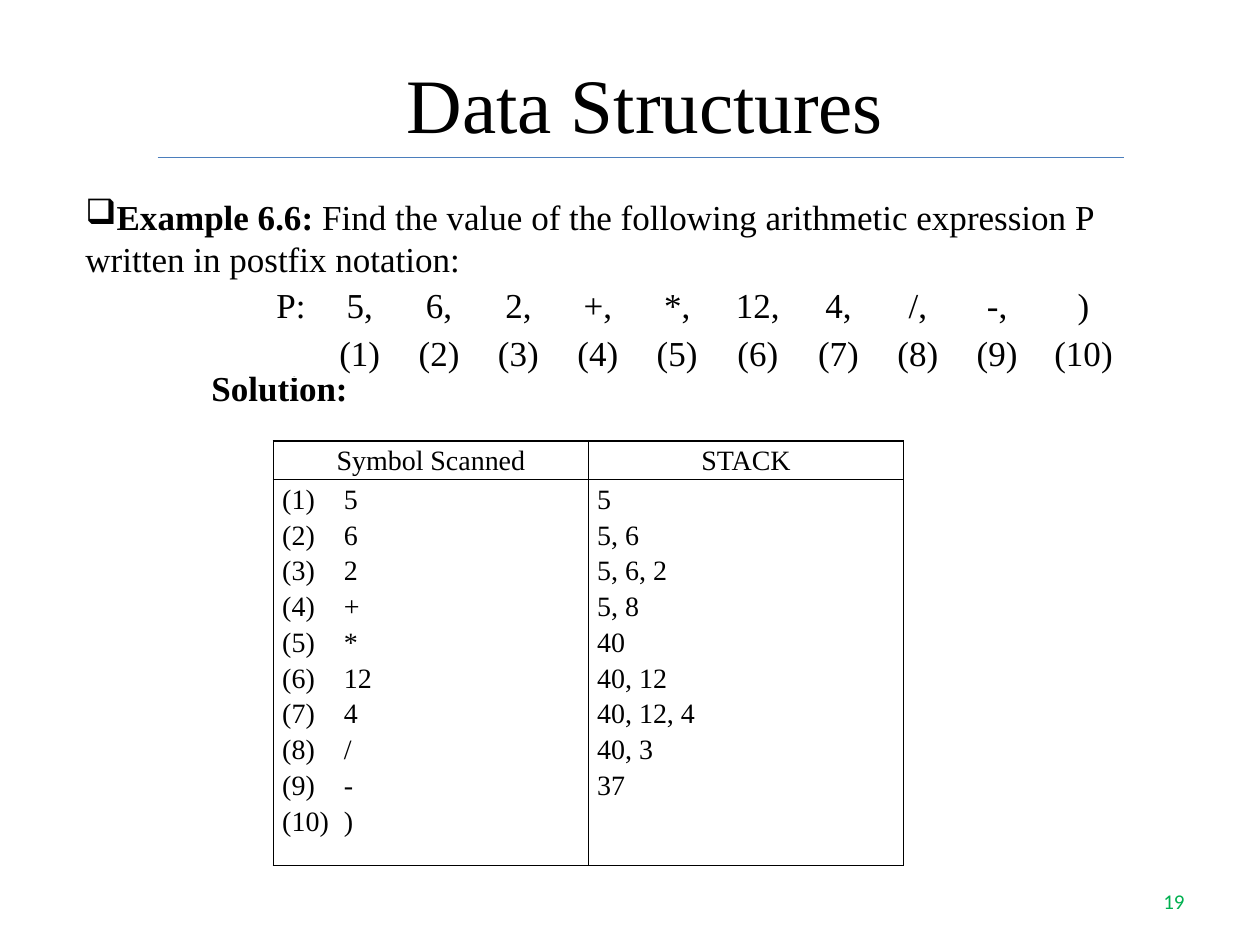
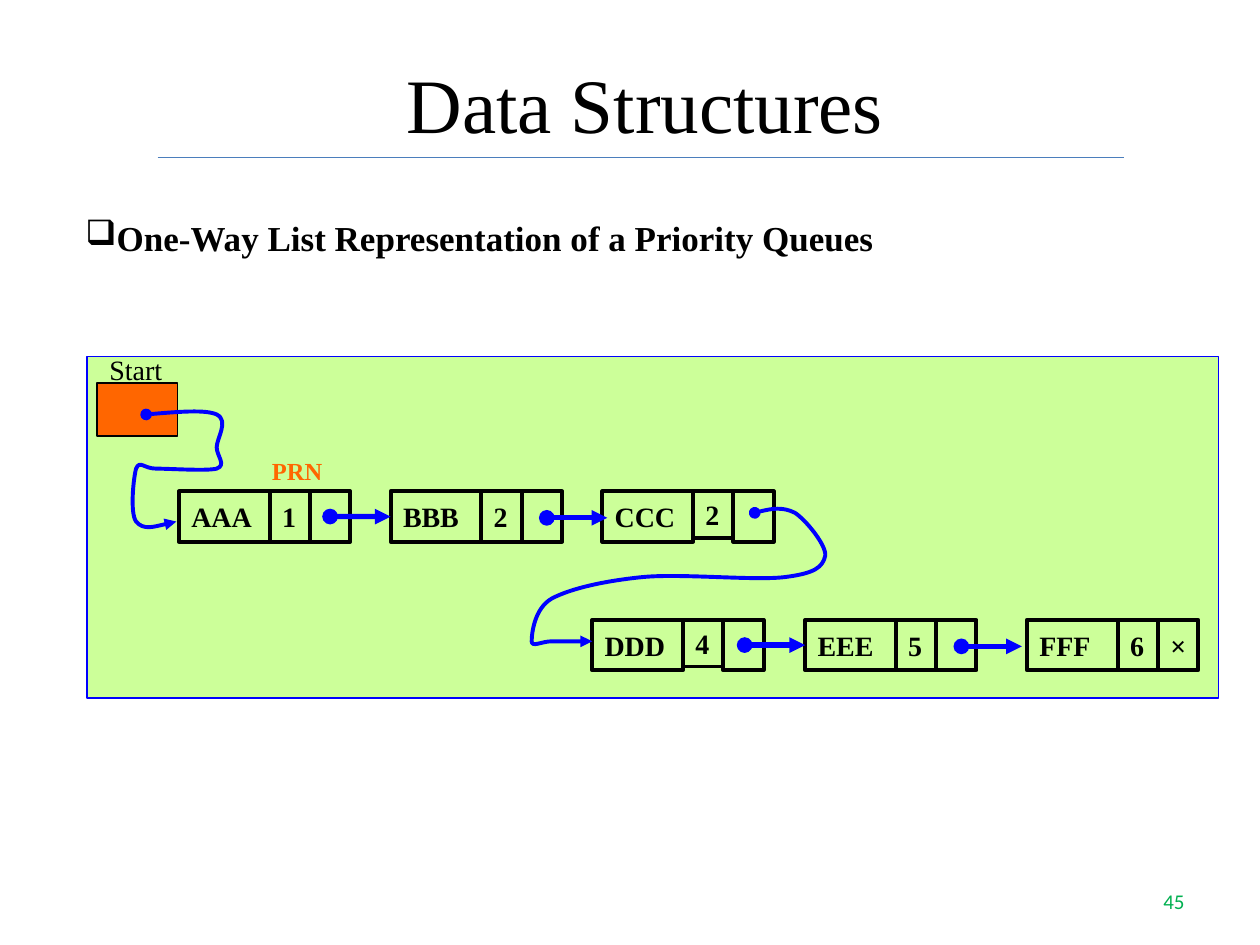
from itertools import product
from pptx import Presentation
from pptx.dml.color import RGBColor
from pptx.enum.shapes import MSO_CONNECTOR, MSO_SHAPE
from pptx.enum.text import MSO_ANCHOR as ANCHOR, PP_ALIGN as ALIGN
from pptx.oxml.ns import qn
from pptx.oxml.xmlchemy import OxmlElement
from pptx.util import Inches, Pt

BLACK = RGBColor(0x00, 0x00, 0x00)
RULE_BLUE = RGBColor(0x4B, 0x7E, 0xBC)
NUMBER_GREEN = RGBColor(0x00, 0xB0, 0x50)
PANEL_GREEN = RGBColor(0xCC, 0xFF, 0x99)
LINK_BLUE = RGBColor(0x00, 0x00, 0xFF)
ORANGE = RGBColor(0xFF, 0x66, 0x00)
SERIF = "Times New Roman"
TITLE_ONLY = 5

EXPRESSION = ["5,", "6,", "2,", "+,", "*,", "12,", "4,", "/,", "-,", ")"]
EXPRESSION_WIDTHS = [0.46, *[0.63] * 5, 0.65, *[0.63] * 3, 0.74]
STACK_STATES = ["5", "5, 6", "5, 6, 2", "5, 8", "40", "40, 12",
                "40, 12, 4", "40, 3", "37"]

# Queue drawing, in inches from the corner of the panel:
# name, priority, last cell, left, top, height of the priority cell
NODES = [
    ("AAA", "1", "", 0.73, 1.07, 0.4), ("BBB", "2", "", 2.41, 1.07, 0.4),
    ("CCC", "2", "", 4.09, 1.07, 0.37), ("DDD", "4", "", 4.01, 2.09, 0.37),
    ("EEE", "5", "", 5.7, 2.09, 0.4), ("FFF", "6", "×", 7.46, 2.09, 0.4),
]
# left, top, node whose side the arrow joins
ARROWS = [(1.93, 1.27, "BBB"), (3.65, 1.28, None),
          (5.22, 2.29, "EEE"), (6.94, 2.3, None)]
# start point, then two control points and an end point for each curve
START_LINK = [
    (0.47, 0.46),
    (0.71, 0.44), (0.94, 0.42), (1.03, 0.46),
    (1.13, 0.51), (1.03, 0.65), (1.03, 0.72),
    (1.03, 0.79), (1.11, 0.86), (1.03, 0.89),
    (0.95, 0.91), (0.66, 0.89), (0.55, 0.89),
    (0.45, 0.89), (0.42, 0.82), (0.39, 0.89),
    (0.37, 0.96), (0.34, 1.24), (0.39, 1.31),
    (0.45, 1.38), (0.58, 1.34), (0.71, 1.31),
]
ROW_LINK = [
    (5.3, 1.24),
    (5.41, 1.21), (5.52, 1.19), (5.62, 1.24),
    (5.71, 1.3), (5.87, 1.5), (5.86, 1.58),
    (5.84, 1.67), (5.78, 1.72), (5.54, 1.75),
    (5.3, 1.78), (4.72, 1.72), (4.41, 1.75),
    (4.11, 1.78), (3.84, 1.84), (3.69, 1.92),
    (3.55, 2.0), (3.53, 2.2), (3.53, 2.26),
    (3.53, 2.31), (3.61, 2.26), (3.69, 2.26),
    (3.77, 2.26), (3.89, 2.26), (4.01, 2.26),
]


def add_element(parent, tag, **attributes):
    element = OxmlElement(tag)
    for name, value in attributes.items():
        element.set(name, value)
    parent.append(element)
    return element


def style_run(run, size, color=BLACK, bold=False, font_name=SERIF):
    font = run.font
    font.name, font.size, font.bold = font_name, Pt(size), bold
    font.color.rgb = color


def write(paragraph, text, size, align=ALIGN.LEFT, **style):
    paragraph.text = text
    paragraph.alignment = align
    for run in paragraph.runs:
        style_run(run, size, **style)


def add_text(slide, box, text, size, anchor=ANCHOR.TOP, **style):
    text_frame = slide.shapes.add_textbox(*map(Inches, box)).text_frame
    text_frame.word_wrap = True
    text_frame.vertical_anchor = anchor
    write(text_frame.paragraphs[0], text, size, **style)
    return text_frame.paragraphs[0]


def add_heading(slide, box, text):
    paragraph = add_text(slide, box, text, 20, bold=True)
    properties = paragraph._p.get_or_add_pPr()
    properties.set("marL", "0")
    properties.set("indent", "0")
    add_element(properties, "a:buChar", char="❑")
    return paragraph


def add_line(slide, start, end, color, width):
    line = slide.shapes.add_connector(
        MSO_CONNECTOR.STRAIGHT, *map(Inches, (*start, *end)))
    line.line.color.rgb = color
    line.line.width = Pt(width)
    add_element(line._element.spPr, "a:effectLst")
    return line


def add_pointer_ends(shape):
    outline = shape.line._get_or_add_ln()
    add_element(outline, "a:headEnd", type="oval")
    add_element(outline, "a:tailEnd", type="triangle")


def add_rectangle(slide, box, line_color=BLACK, line_width=0.75, fill=None):
    shape = slide.shapes.add_shape(MSO_SHAPE.RECTANGLE, *map(Inches, box))
    shape.shadow.inherit = False
    if fill is None:
        shape.fill.background()
    else:
        shape.fill.solid()
        shape.fill.fore_color.rgb = fill
    shape.line.color.rgb = line_color
    shape.line.width = Pt(line_width)
    return shape


def add_course_slide(presentation, number):
    """Add a slide with the shared title, rule and page number."""
    slide = presentation.slides.add_slide(
        presentation.slide_layouts[TITLE_ONLY])
    title = slide.shapes.title
    title.left, title.top, title.width, title.height = map(
        Inches, (1.33, 0.38, 7.58, 0.87))
    title.text_frame.vertical_anchor = ANCHOR.MIDDLE
    write(title.text_frame.paragraphs[0], "Data Structures", 44, ALIGN.CENTER)
    add_line(slide, (1.25, 1.25), (8.92, 1.25), RULE_BLUE, 0.75)
    add_text(slide, (7.17, 6.95, 2.33, 0.4), number, 12, ANCHOR.MIDDLE,
             align=ALIGN.RIGHT, color=NUMBER_GREEN, font_name="Calibri")
    return slide


def add_plain_table(slide, left, top, widths, heights):
    """Add an unfilled table without header or banding styles."""
    table = slide.shapes.add_table(
        len(heights), len(widths), *map(
            Inches, (left, top, sum(widths), sum(heights)))).table
    table.first_row = table.horz_banding = False
    for column, width in zip(table.columns, widths):
        column.width = Inches(width)
    for row, height in zip(table.rows, heights):
        row.height = Inches(height)
    for cell in table.iter_cells():
        cell.margin_left = cell.margin_right = Inches(0.07)
        cell.margin_top = cell.margin_bottom = 0
        cell.fill.background()
    return table


def write_cell(cell, lines, size, align=ALIGN.LEFT):
    cell.text = "\n".join(lines)
    for paragraph, line in zip(cell.text_frame.paragraphs, lines):
        write(paragraph, line, size, align)
        paragraph.line_spacing = 1.15


def number_lines(cell):
    for paragraph in cell.text_frame.paragraphs:
        properties = paragraph._p.get_or_add_pPr()
        properties.set("marL", str(Inches(0.49)))
        properties.set("indent", str(-Inches(0.49)))
        add_element(properties, "a:buFont", typeface=SERIF)
        add_element(properties, "a:buAutoNum", type="arabicParenBoth")


def add_cell_borders(cell):
    properties = cell._tc.get_or_add_tcPr()
    for index, side in enumerate(("a:lnL", "a:lnR", "a:lnT", "a:lnB")):
        border = OxmlElement(side)
        border.set("w", str(Pt(1)))
        fill = add_element(border, "a:solidFill")
        add_element(fill, "a:srgbClr", val=str(BLACK))
        properties.insert(index, border)


def add_expression_table(slide, left, top):
    table = add_plain_table(slide, left, top, EXPRESSION_WIDTHS, [0.35, 0.35])
    positions = [f"({i})" for i in range(1, len(EXPRESSION) + 1)]
    rows = [["P:", *EXPRESSION], ["", *positions]]
    for row, column in product(range(2), range(len(EXPRESSION_WIDTHS))):
        write_cell(table.cell(row, column), [rows[row][column]], 20,
                   ALIGN.CENTER)


def add_stack_table(slide, left, top):
    table = add_plain_table(slide, left, top, [2.5, 2.5], [0.28, 2.84])
    symbols = [symbol.rstrip(",") for symbol in EXPRESSION]
    columns = [("Symbol Scanned", symbols), ("STACK", STACK_STATES)]
    for index, (heading, lines) in enumerate(columns):
        write_cell(table.cell(0, index), [heading], 16, ALIGN.CENTER)
        write_cell(table.cell(1, index), lines, 16)
    number_lines(table.cell(1, 0))
    for cell in table.iter_cells():
        add_cell_borders(cell)


def build_postfix_slide(presentation):
    slide = add_course_slide(presentation, "19")
    paragraph = add_heading(slide, (0.58, 1.5, 9, 0.8), "Example 6.6:")
    question = paragraph.add_run()
    question.text = (" Find the value of the following arithmetic expression P"
                     " written in postfix notation:")
    style_run(question, 20)
    add_text(slide, (1.58, 2.86, 2, 0.42), "Solution:", 20, bold=True)
    add_expression_table(slide, 2.08, 2.23)
    add_stack_table(slide, 2.17, 3.5)


def add_node(slide, left, top, texts, priority_height):
    """Draw the three cells of a list node and return the name cell."""
    cells = []
    for text, width, height in zip(
            texts, (0.72, 0.32, 0.32), (0.4, priority_height, 0.4)):
        cell = add_rectangle(slide, (left, top, width, height),
                             line_width=2.25)
        if text:
            cell.text_frame.vertical_anchor = ANCHOR.MIDDLE
            write(cell.text_frame.paragraphs[0], text, 16, bold=True)
        cells.append(cell)
        left += width
    return cells[0]


def add_curved_link(slide, left, top, points):
    """Draw a chain of cubic curves relative to the given corner."""
    start, *rest = [(Inches(x), Inches(y)) for x, y in points]
    builder = slide.shapes.build_freeform(*start)
    builder.add_line_segments(rest, close=False)
    link = builder.convert_to_shape(Inches(left), Inches(top))
    outline = link._element.find(".//" + qn("a:path"))
    segments = iter(outline.findall(qn("a:lnTo")))
    for curve_segments in zip(segments, segments, segments):
        curve = add_element(outline, "a:cubicBezTo")
        for segment in curve_segments:
            curve.append(segment[0])
            outline.remove(segment)
    link.shadow.inherit = False
    link.fill.background()
    link.line.color.rgb = LINK_BLUE
    link.line.width = Pt(2.25)
    add_pointer_ends(link)


def add_queue_panel(slide, left, top, width, height):
    add_rectangle(slide, (left, top, width, height), LINK_BLUE,
                  fill=PANEL_GREEN)
    name_cells = {}
    for name, priority, last, x, y, priority_height in NODES:
        name_cells[name] = add_node(slide, left + x, top + y,
                                    (name, priority, last), priority_height)
    for x, y, target in ARROWS:
        arrow = add_line(slide, (left + x, top + y),
                         (left + x + 0.48, top + y), LINK_BLUE, 3)
        add_pointer_ends(arrow)
        if target:
            arrow.end_connect(name_cells[target], 1)
    add_curved_link(slide, left, top, ROW_LINK)
    add_rectangle(slide, (left + 0.08, top + 0.21, 0.64, 0.42), fill=ORANGE)
    add_curved_link(slide, left, top, START_LINK)
    add_text(slide, (left + 0.08, top - 0.08, 0.7, 0.37), "Start", 16)
    add_text(slide, (left + 1.37, top + 0.74, 0.72, 0.33), "PRN", 14,
             color=ORANGE, bold=True)


def build_queue_slide(presentation):
    slide = add_course_slide(presentation, "45")
    add_heading(slide, (0.58, 1.67, 8.75, 0.45),
                "One-Way List Representation of a Priority Queues")
    add_queue_panel(slide, 0.69, 2.83, 8.98, 2.71)


def main():
    presentation = Presentation()
    presentation.slide_width = Inches(10)
    presentation.slide_height = Inches(7.5)
    build_postfix_slide(presentation)
    build_queue_slide(presentation)
    presentation.save("out.pptx")


if __name__ == "__main__":
    main()
